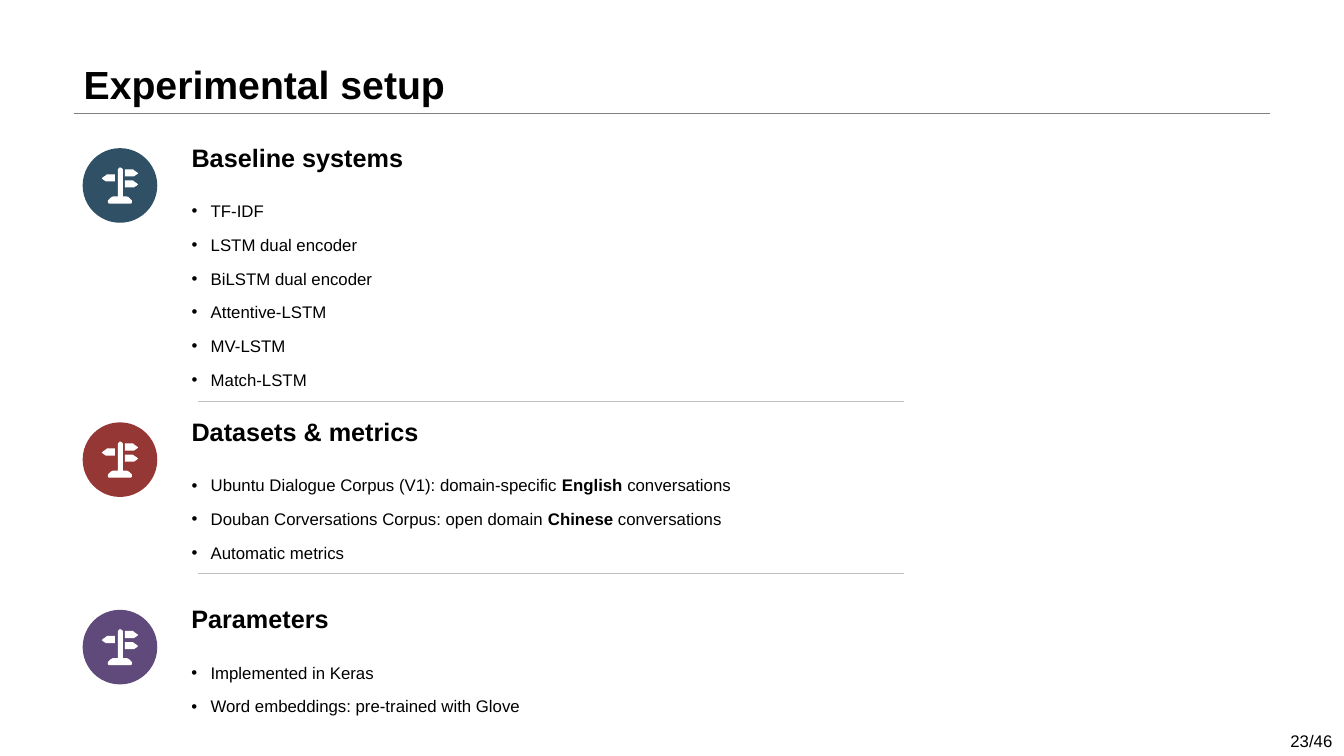
import pptx
import pptx.util
import pptx.dml.color
import pptx.enum.shapes
import pptx.enum.text
from lxml import etree
from pptx.oxml.ns import qn
from pptx.util import Inches

TITLE = "Experimental setup"
PAGE_NUMBER = "23/46"
SECTIONS = [
    {"heading": "Baseline systems", "color": "305065", "top": 1.47, "list_height": 1.06,
     "items": ["TF-IDF", "LSTM dual encoder", "BiLSTM dual encoder",
               "Attentive-LSTM", "MV-LSTM", "Match-LSTM"]},
    {"heading": "Datasets & metrics", "color": "953735", "top": 4.19, "list_height": 1.06,
     "items": [("Ubuntu Dialogue Corpus (V1): domain-specific ", "English ", "conversations"),
               ("Douban Corversations Corpus: open domain ", "Chinese ", "conversations"),
               "Automatic metrics"]},
    {"heading": "Parameters", "color": "604A7B", "top": 6.05, "list_height": 0.77,
     "items": ["Implemented in Keras", "Word embeddings: pre-trained with Glove"]},
]
RULES = [(0.73, 12.6, 1.12, "808080"), (1.96, 8.97, 3.98, "BFBFBF"), (1.96, 8.97, 5.69, "BFBFBF")]

BADGE_LEFT, BADGE_SIZE, ICON_INSET = 0.82, 0.74, 0.19
TEXT_LEFT, TEXT_WIDTH, HEADING_HEIGHT = 1.8, 7.17, 0.45
HEADING_OFFSET, LIST_OFFSET = -0.11, 0.34

ICON_UNIT, ICON_WIDTH = 0.01, 36
SIGN = [(23, 2), (31, 2), (32, 3), (35, 5), (36, 6), (35, 7), (32, 9), (23, 9)]
POST = [(18, 0), (20, 1), (21, 2), (21, 29), (25, 29), (27, 30), (30, 33), (30, 35),
        (29, 36), (7, 36), (6, 35), (6, 33), (9, 30), (11, 29), (16, 29), (16, 2), (17, 1)]
SIGNPOST = [
    POST,
    SIGN,
    [(x, y + 11) for x, y in SIGN],
    [(ICON_WIDTH - x, y + 5) for x, y in SIGN],
]


def rgb(color):
    return pptx.dml.color.RGBColor.from_string(color)


def place(shape, left, top, width, height):
    shape.left, shape.top = Inches(left), Inches(top)
    shape.width, shape.height = Inches(width), Inches(height)


def paint(shape, color):
    shape.shadow.inherit = False
    shape.fill.solid()
    shape.fill.fore_color.rgb = rgb(color)
    shape.line.fill.background()


def format_frame(shape, anchor):
    frame = shape.text_frame
    frame.word_wrap = True
    frame.auto_size = pptx.enum.text.MSO_AUTO_SIZE.NONE
    frame.vertical_anchor = anchor
    return frame


def format_paragraph(paragraph, size, bold=False, spacing=1.0):
    paragraph.alignment = pptx.enum.text.PP_ALIGN.LEFT
    paragraph.line_spacing = spacing
    paragraph.space_before = paragraph.space_after = pptx.util.Pt(0)
    for run in paragraph.runs:
        run.font.name = "Arial"
        run.font.size = pptx.util.Pt(size)
        run.font.bold = bold
        run.font.color.rgb = rgb("000000")


def write_line(shape, text, size, bold, anchor=pptx.enum.text.MSO_ANCHOR.TOP, spacing=1.0):
    frame = format_frame(shape, anchor)
    frame.text = text
    format_paragraph(frame.paragraphs[0], size, bold, spacing)


def add_bullet(paragraph):
    properties = paragraph._p.get_or_add_pPr()
    properties.set("marL", str(Inches(0.19)))
    properties.set("indent", str(-Inches(0.19)))
    color = etree.SubElement(properties, qn("a:buClr"))
    etree.SubElement(color, qn("a:srgbClr"), val="000000")
    etree.SubElement(properties, qn("a:buFont"), typeface="Arial")
    etree.SubElement(properties, qn("a:buChar"), char="•")


def write_list(shape, items):
    frame = format_frame(shape, pptx.enum.text.MSO_ANCHOR.TOP)
    for index, item in enumerate(items):
        paragraph = frame.add_paragraph() if index else frame.paragraphs[0]
        add_bullet(paragraph)
        parts = (item,) if isinstance(item, str) else item
        for part in parts:
            paragraph.add_run().text = part
        format_paragraph(paragraph, 12, spacing=1.67)
        if len(parts) > 1:
            paragraph.runs[1].font.bold = True


def add_rule(slide, left, right, top, color):
    line = slide.shapes.add_connector(
        pptx.enum.shapes.MSO_CONNECTOR.STRAIGHT,
        Inches(left), Inches(top), Inches(right), Inches(top))
    line.line.color.rgb = rgb(color)
    line.line.width = pptx.util.Pt(0.25)
    etree.SubElement(line._element.spPr, qn("a:effectLst"))


def add_badge(slide, top, color):
    badge = slide.shapes.add_shape(
        pptx.enum.shapes.MSO_SHAPE.ROUNDED_RECTANGLE,
        Inches(BADGE_LEFT), Inches(top), Inches(BADGE_SIZE), Inches(BADGE_SIZE))
    badge.adjustments[0] = 0.5
    paint(badge, color)
    builder = slide.shapes.build_freeform(*SIGNPOST[0][0], scale=Inches(ICON_UNIT))
    for outline in SIGNPOST:
        builder.move_to(*outline[0])
        builder.add_line_segments(outline[1:], close=True)
    icon = builder.convert_to_shape(Inches(BADGE_LEFT + ICON_INSET), Inches(top + ICON_INSET))
    paint(icon, "FFFFFF")


def main():
    presentation = pptx.Presentation()
    presentation.slide_width, presentation.slide_height = Inches(13.33), Inches(7.5)
    slide = presentation.slides.add_slide(presentation.slide_layouts.get_by_name("Comparison"))
    title, *bodies = slide.placeholders

    place(title, 0.73, 0, 11.86, 1.12)
    write_line(title, TITLE, 28, True, pptx.enum.text.MSO_ANCHOR.BOTTOM, 0.9)
    for rule in RULES:
        add_rule(slide, *rule)

    for section in SECTIONS:
        top = section["top"]
        add_badge(slide, top, section["color"])
        heading, listing = (
            bodies.pop(0) if bodies else slide.shapes.add_textbox(0, 0, 0, 0) for _ in range(2))
        place(heading, TEXT_LEFT, top + HEADING_OFFSET, TEXT_WIDTH, HEADING_HEIGHT)
        write_line(heading, section["heading"], 18, True)
        place(listing, TEXT_LEFT, top + LIST_OFFSET, TEXT_WIDTH, section["list_height"])
        write_list(listing, section["items"])

    page_number = slide.shapes.add_textbox(Inches(12.7), Inches(7.2), Inches(0.62), Inches(0.3))
    write_line(page_number, PAGE_NUMBER, 12, False)
    presentation.save("out.pptx")


if __name__ == "__main__":
    main()
